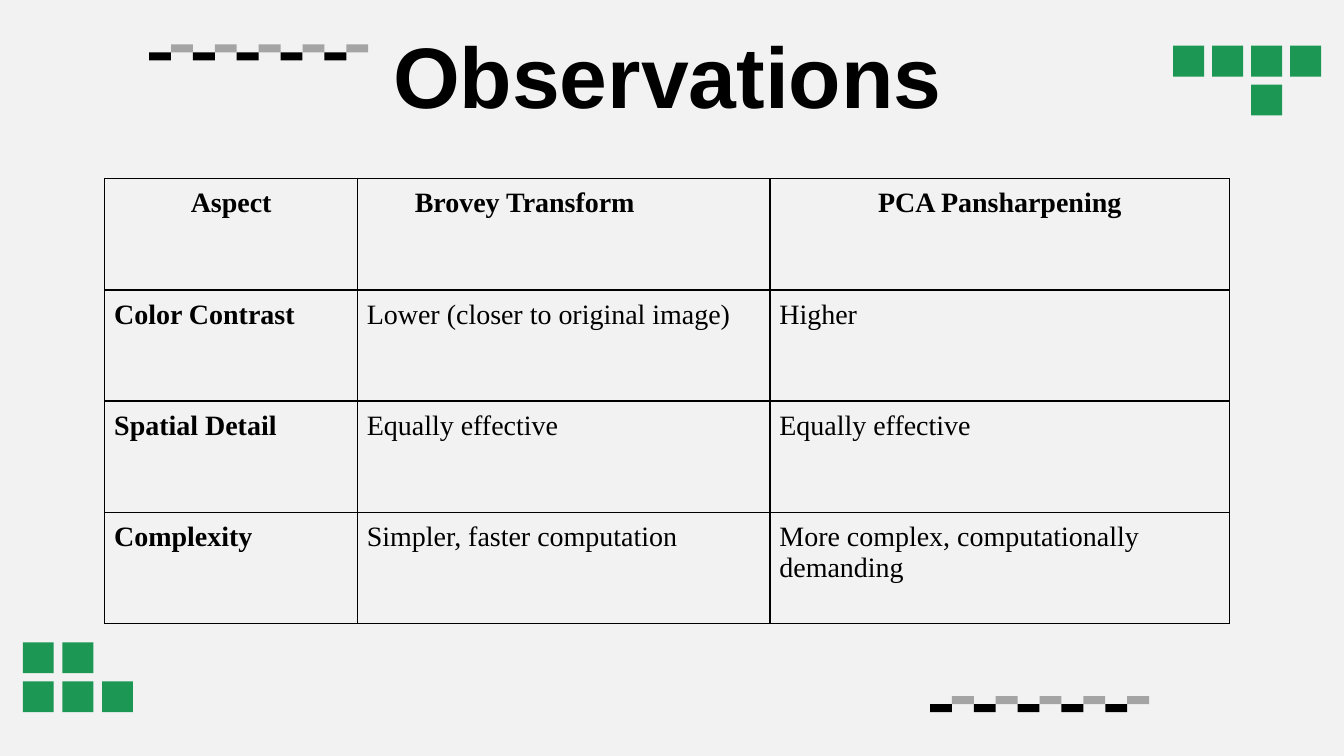
from dataclasses import dataclass

from lxml import etree
from pptx import Presentation
from pptx.dml.color import RGBColor
from pptx.enum.shapes import MSO_SHAPE
from pptx.enum.text import MSO_ANCHOR, PP_ALIGN
from pptx.oxml.ns import qn
from pptx.util import Inches, Pt

RECTANGLE = MSO_SHAPE.RECTANGLE
MIDDLE, TOP = MSO_ANCHOR.MIDDLE, MSO_ANCHOR.TOP
CENTER, LEFT = PP_ALIGN.CENTER, PP_ALIGN.LEFT


@dataclass(frozen=True)
class Theme:
    background: str = "F2F2F2"
    ink: str = "000000"
    gray: str = "A4A4A4"
    green: str = "1C9754"
    title_font: str = "Arial"
    table_font: str = "Times New Roman"
    title_size: int = 46
    table_size: int = 15
    border_width: float = 0.75


@dataclass(frozen=True)
class Box:
    left: float
    top: float
    width: float
    height: float

    def lengths(self):
        return [Inches(value) for value in (self.left, self.top, self.width, self.height)]


THEME = Theme()
SLIDE_WIDTH = Inches(10)
SLIDE_HEIGHT = SLIDE_WIDTH * 9 // 16  # widescreen
HEADER = ("Aspect", "Brovey Transform", "PCA Pansharpening")
ROWS = (
    ("Color Contrast", "Lower (closer to original image)", "Higher"),
    ("Spatial Detail", "Equally effective", "Equally effective"),
    ("Complexity", "Simpler, faster computation", "More complex, computationally demanding"),
)
COLUMN_WIDTHS = (1.88, 3.07, 3.42)
CELL_MARGIN = 0.07
BROVEY_OFFSET = 0.58  # extra right margin that shifts the centred heading left
TOP_SQUARES = ("####", "..#.")
BOTTOM_SQUARES = ("##.", "###")


def set_format(target, values):
    for name, value in values.items():
        setattr(target, name, value)


def margins(size):
    return {f"margin_{side}": Inches(size) for side in ("left", "right", "top", "bottom")}


def write_text(paragraph, text, font, size, bold):
    paragraph.text = text
    set_format(paragraph.font, {"name": font, "size": Pt(size), "bold": bold})
    paragraph.font.color.rgb = RGBColor.from_string(THEME.ink)


def add_block(shapes, box, color):
    block = shapes.add_shape(RECTANGLE, *box.lengths())
    block.shadow.inherit = False
    block.fill.solid()
    block.fill.fore_color.rgb = RGBColor.from_string(color)
    block.line.fill.background()


def add_dashes(slide, box, count=10):
    """Alternate low black and high gray dashes along the box."""
    group = slide.shapes.add_group_shape()
    width, height = box.width / count, box.height / 2
    for index in range(count):
        low = index % 2 == 0
        dash = Box(box.left + index * width, box.top + low * height, width, height)
        add_block(group.shapes, dash, THEME.ink if low else THEME.gray)


def add_squares(slide, box, pattern):
    """Fill the marked places of a grid of squares."""
    group = slide.shapes.add_group_shape()
    side = 0.23
    column_step = (box.width - side) / (len(pattern[0]) - 1)
    row_step = (box.height - side) / (len(pattern) - 1)
    for row, marks in enumerate(pattern):
        for column, mark in enumerate(marks):
            if mark == "#":
                square = Box(box.left + column * column_step, box.top + row * row_step, side, side)
                add_block(group.shapes, square, THEME.green)


def add_title(slide, box, text):
    frame = slide.shapes.add_textbox(*box.lengths()).text_frame
    set_format(frame, {"word_wrap": True, "vertical_anchor": MIDDLE, **margins(0.1)})
    paragraph = frame.paragraphs[0]
    paragraph.alignment = CENTER
    write_text(paragraph, text, THEME.title_font, THEME.title_size, True)


def add_borders(cell):
    properties = cell._tc.get_or_add_tcPr()
    for side in ("a:lnL", "a:lnR", "a:lnT", "a:lnB"):
        line = etree.SubElement(properties, qn(side), w=str(Pt(THEME.border_width)))
        fill = etree.SubElement(line, qn("a:solidFill"))
        etree.SubElement(fill, qn("a:srgbClr"), val=THEME.ink)


def add_comparison(slide, box):
    content = (HEADER, *ROWS)
    table = slide.shapes.add_table(len(content), len(HEADER), *box.lengths()).table
    set_format(table, {"first_row": False, "horz_banding": False})
    for column, share in zip(table.columns, COLUMN_WIDTHS):
        column.width = Inches(box.width * share / sum(COLUMN_WIDTHS))
    for row_index, texts in enumerate(content):
        for column_index, text in enumerate(texts):
            is_header = row_index == 0
            cell = table.cell(row_index, column_index)
            set_format(cell, {"vertical_anchor": TOP, **margins(CELL_MARGIN)})
            add_borders(cell)
            cell.fill.background()
            paragraph = cell.text_frame.paragraphs[0]
            set_format(paragraph, {"alignment": CENTER if is_header else LEFT, "space_after": Pt(6)})
            write_text(paragraph, text, THEME.table_font, THEME.table_size,
                       is_header or column_index == 0)
    table.cell(0, 1).margin_right = Inches(CELL_MARGIN + BROVEY_OFFSET)


def build_slide(presentation):
    slide = presentation.slides.add_slide(presentation.slide_layouts[6])
    slide.background.fill.solid()
    slide.background.fill.fore_color.rgb = RGBColor.from_string(THEME.background)

    # Corner decoration
    add_dashes(slide, Box(6.92, 5.18, 1.63, 0.12))
    add_dashes(slide, Box(1.11, 0.33, 1.63, 0.12))
    add_squares(slide, Box(8.73, 0.34, 1.1, 0.52), TOP_SQUARES)
    add_squares(slide, Box(0.17, 4.78, 0.82, 0.52), BOTTOM_SQUARES)

    # Title and comparison table
    add_title(slide, Box(1.65, 0.13, 6.63, 0.85), "Observations")
    add_comparison(slide, Box(0.78, 1.33, 8.37, 3.31))


def main():
    presentation = Presentation()
    set_format(presentation, {"slide_width": SLIDE_WIDTH, "slide_height": SLIDE_HEIGHT})
    build_slide(presentation)
    presentation.save("out.pptx")


if __name__ == "__main__":
    main()
